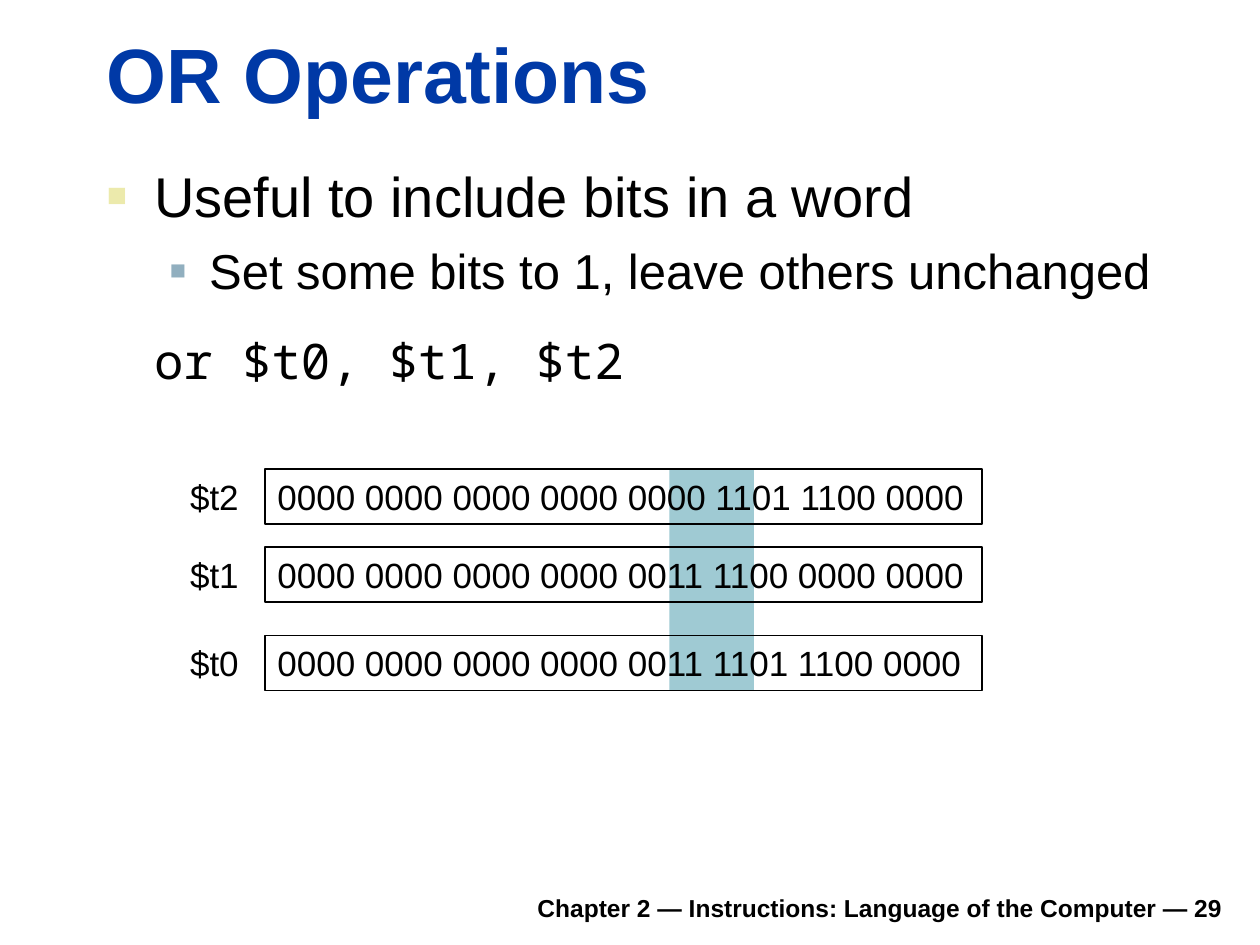
from lxml.etree import SubElement
from pptx import Presentation
from pptx.dml.color import RGBColor
from pptx.enum.shapes import MSO_SHAPE as Shape
from pptx.enum.text import MSO_ANCHOR as Anchor, MSO_AUTO_SIZE as AutoSize, PP_ALIGN as Align
from pptx.oxml.ns import qn
from pptx.util import Pt

COLORS = {"text": "000000", "title": "0039A6", "highlight": "9FCAD3",
          "bullet": "ECEAAC", "sub_bullet": "91AFBF"}
SANS, MONO = "Arial", "Noto Sans Mono"

TITLE = "OR Operations"
FOOTER = "Chapter 2 — Instructions: Language of the Computer — 29"
BODY = [
    dict(text="Useful to include bits in a word", size=32, font=SANS,
         margin=27, indent=-27, bullet=("bullet", 60)),
    dict(text="Set some bits to 1, leave others unchanged", size=28, font=SANS,
         margin=58.5, indent=-22.5, bullet=("sub_bullet", 55), level=1, before=7),
    dict(text="or $t0, $t1, $t2", size=28, font=MONO,
         margin=27, indent=0, before=17.5, after=10.5),
]
REGISTERS = [  # name, bits, top
    ("$t2", "0000 0000 0000 0000 0000 1101 1100 0000", 268),
    ("$t1", "0000 0000 0000 0000 0011 1100 0000 0000", 312.5),
    ("$t0", "0000 0000 0000 0000 0011 1101 1100 0000", 363.1),
]
LABEL_LEFT, LABEL_WIDTH = 101.5, 46
BITS_LEFT, BITS_WIDTH, ROW_HEIGHT = 151.4, 409.7, 31.5


def rgb(name):
    return RGBColor.from_string(COLORS[name])


def set_font(paragraph, size, color="text", name=SANS, bold=False):
    font = paragraph.font
    font.size, font.name, font.bold = Pt(size), name, bold
    font.color.rgb = rgb(color)


def add_rectangle(slide, left, top, width, height, fill=None, line=None):
    shape = slide.shapes.add_shape(Shape.RECTANGLE, Pt(left), Pt(top), Pt(width), Pt(height))
    shape.shadow.inherit = False
    if fill:
        shape.fill.solid()
        shape.fill.fore_color.rgb = rgb(fill)
    else:
        shape.fill.background()
    if line:
        shape.line.color.rgb = rgb(line)
        shape.line.width = Pt(0.75)
    else:
        shape.line.fill.background()
    return shape


def add_text_box(slide, left, top, width, height, anchor=Anchor.TOP):
    box = slide.shapes.add_textbox(Pt(left), Pt(top), Pt(width), Pt(height))
    box.text_frame.word_wrap = True
    box.text_frame.vertical_anchor = anchor
    return box


def write_line(shape, text, size, align=Align.LEFT, **font):
    paragraph = shape.text_frame.paragraphs[0]
    paragraph.text = text
    paragraph.alignment = align
    set_font(paragraph, size, **font)


def write_register_text(shape, text):
    frame = shape.text_frame
    frame.word_wrap = True
    frame.auto_size = AutoSize.NONE
    frame.vertical_anchor = Anchor.TOP
    write_line(shape, text, 20)


def add_bullet(properties, color, percent):
    bullet_color = SubElement(properties, qn("a:buClr"))
    SubElement(bullet_color, qn("a:srgbClr"), val=COLORS[color])
    SubElement(properties, qn("a:buSzPct"), val=str(percent * 1000))
    SubElement(properties, qn("a:buFont"), typeface=SANS)
    SubElement(properties, qn("a:buChar"), char="■")


def add_body(slide):
    frame = add_text_box(slide, 54, 88.6, 650.9, 163.4).text_frame
    for index, item in enumerate(BODY):
        paragraph = frame.add_paragraph() if index else frame.paragraphs[0]
        paragraph.text = item["text"]
        paragraph.level = item.get("level", 0)
        paragraph.space_before = Pt(item.get("before", 0))
        paragraph.space_after = Pt(item.get("after", 0))
        properties = paragraph._p.get_or_add_pPr()
        properties.set("marL", str(Pt(item["margin"])))
        properties.set("indent", str(Pt(item["indent"])))
        if "bullet" in item:
            add_bullet(properties, *item["bullet"])
        set_font(paragraph, item["size"], name=item["font"])


def main():
    presentation = Presentation()
    presentation.slide_width, presentation.slide_height = Pt(720), Pt(540)
    slide = presentation.slides.add_slide(presentation.slide_layouts[6])

    footer = add_text_box(slide, 133.4, 502.6, 572.4, 28, Anchor.BOTTOM)
    write_line(footer, FOOTER, 14, Align.RIGHT, bold=True)
    add_rectangle(slide, 382.6, 268.4, 48.2, 126.4, fill="highlight")
    title = add_text_box(slide, 54, 11.5, 650.2, 59.8, Anchor.BOTTOM)
    write_line(title, TITLE, 44, color="title", bold=True)
    add_body(slide)

    for name, bits, top in REGISTERS:
        label = add_text_box(slide, LABEL_LEFT, top, LABEL_WIDTH, ROW_HEIGHT)
        write_register_text(label, name)
        register = add_rectangle(slide, BITS_LEFT, top, BITS_WIDTH, ROW_HEIGHT, line="text")
        write_register_text(register, bits)

    presentation.save("out.pptx")


if __name__ == "__main__":
    main()
